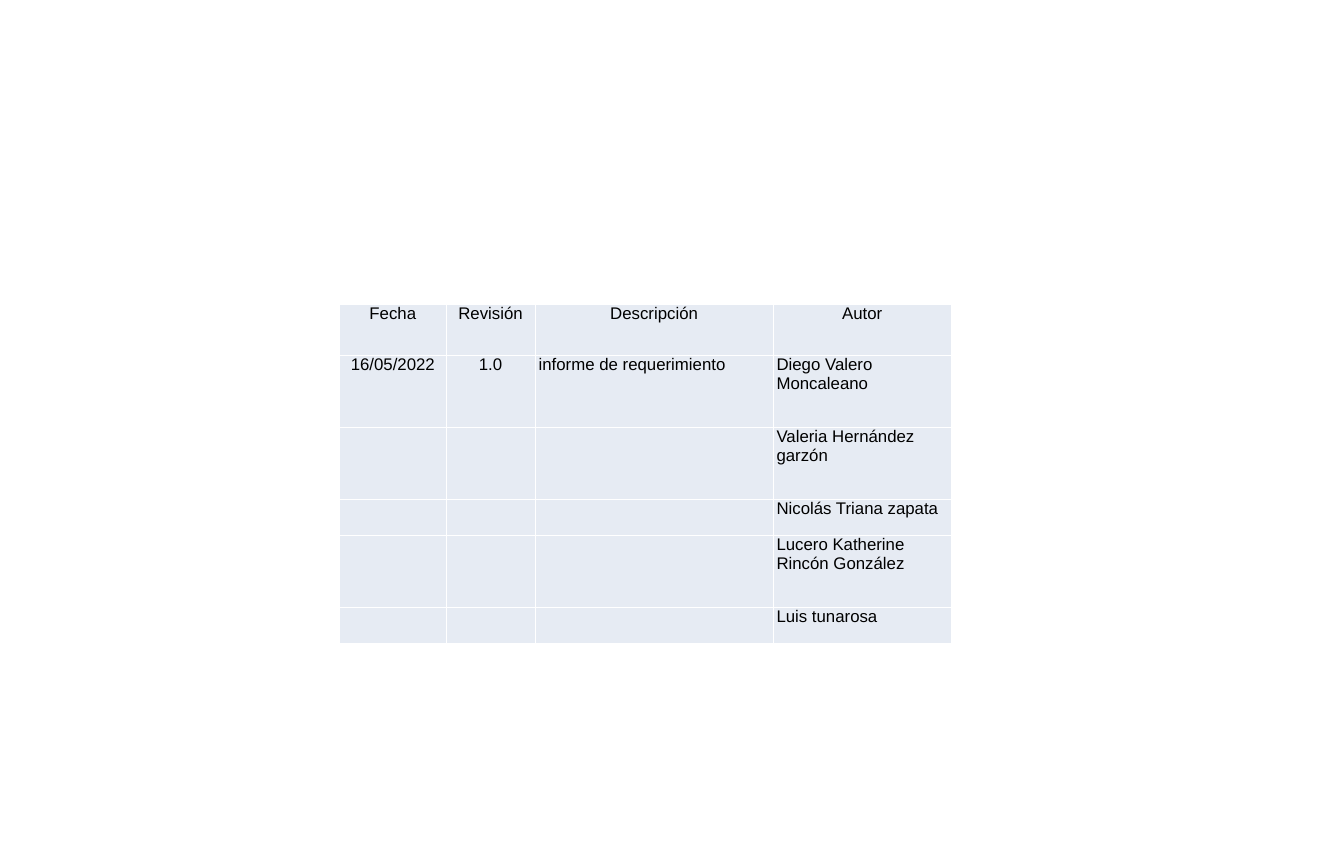
from lxml.etree import SubElement
from pptx import Presentation
from pptx.dml.color import RGBColor
from pptx.enum.text import PP_ALIGN
from pptx.oxml.ns import qn
from pptx.util import Inches, Pt

PALE_BLUE = RGBColor(0xE6, 0xEB, 0xF3)
WHITE = RGBColor(0xFF, 0xFF, 0xFF)
BLACK = RGBColor(0x00, 0x00, 0x00)

COLUMN_WIDTHS = [2.11, 1.77, 4.72, 3.54]
ROW_HEIGHTS = [1.02, 1.43, 1.43, 0.71, 1.43, 0.71]
REVISIONS = [
    ["Fecha", "Revisión", "Descripción", "Autor"],
    ["16/05/2022", "1.0", "informe de requerimiento", "Diego Valero Moncaleano"],
    ["", "", "", "Valeria Hernández garzón"],
    ["", "", "", "Nicolás Triana zapata"],
    ["", "", "", "Lucero Katherine Rincón González"],
    ["", "", "", "Luis tunarosa"],
]


def add_borders(cell):
    properties = cell._tc.get_or_add_tcPr()
    for position, side in enumerate(("lnL", "lnR", "lnT", "lnB")):
        line = SubElement(properties, qn(f"a:{side}"), w=str(Pt(1)))
        fill = SubElement(line, qn("a:solidFill"))
        SubElement(fill, qn("a:srgbClr"), val=str(WHITE))
        properties.insert(position, line)  # borders come before the cell fill


deck = Presentation()
deck.slide_width = Inches(26.67)
deck.slide_height = Inches(17.22)
page = deck.slides.add_slide(deck.slide_layouts[6])

table = page.shapes.add_table(
    len(ROW_HEIGHTS), len(COLUMN_WIDTHS), Inches(6.74), Inches(6.03),
    Inches(sum(COLUMN_WIDTHS)), Inches(sum(ROW_HEIGHTS))).table
table.first_row = False
table.horz_banding = False
for column, width in zip(table.columns, COLUMN_WIDTHS):
    column.width = Inches(width)
for row, height in zip(table.rows, ROW_HEIGHTS):
    row.height = Inches(height)

for row_index, texts in enumerate(REVISIONS):
    for column_index, text in enumerate(texts):
        cell = table.cell(row_index, column_index)
        cell.margin_left = cell.margin_right = Inches(0.07)
        cell.margin_top = cell.margin_bottom = 0
        cell.fill.solid()
        cell.fill.fore_color.rgb = PALE_BLUE
        add_borders(cell)
        cell.text = text
        para = cell.text_frame.paragraphs[0]
        centred = row_index == 0 or column_index < 2
        para.alignment = PP_ALIGN.CENTER if centred else PP_ALIGN.LEFT
        para.font.name = "Arial"
        para.font.size = Pt(24)
        para.font.color.rgb = BLACK

deck.save("out.pptx")
